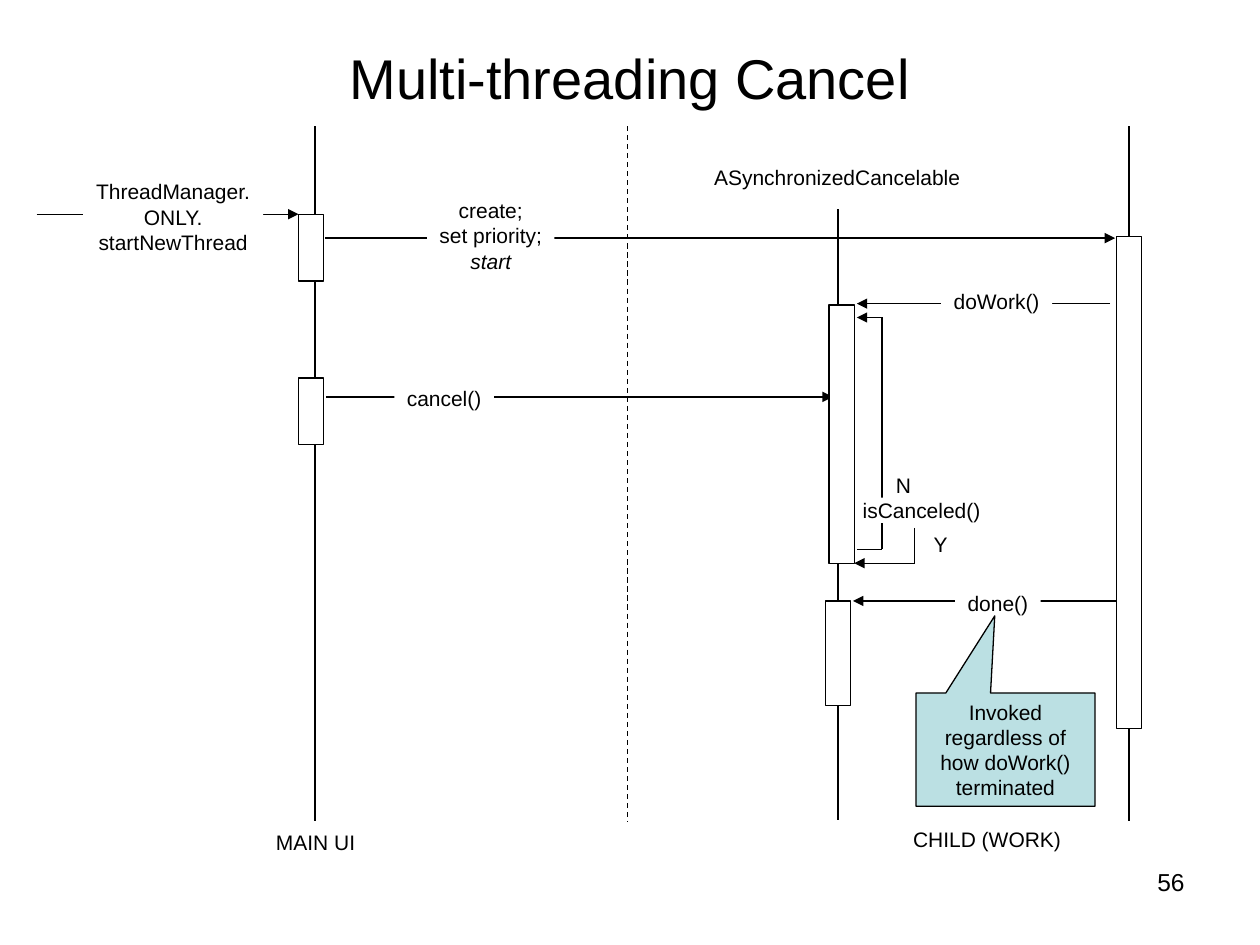
"""Build a sequence diagram slide about cancelling a worker thread."""
from lxml.etree import SubElement
from pptx import Presentation
from pptx.dml.color import RGBColor
from pptx.enum.dml import MSO_LINE
from pptx.enum.shapes import MSO_CONNECTOR, MSO_SHAPE
from pptx.enum.text import MSO_ANCHOR, PP_ALIGN
from pptx.oxml.ns import qn
from pptx.util import Inches, Pt

BLACK = RGBColor(0, 0, 0)
WHITE = RGBColor(255, 255, 255)
TEAL = RGBColor(0xBB, 0xE0, 0xE3)

COLUMNS, ROWS = 100, 75
SLIDE_W, SLIDE_H = Inches(10), Inches(7.5)
BAR_W, LINE_H = 2, 2

TITLE = "Multi-threading Cancel"
NOTE = "Invoked regardless of how doWork() terminated"
PAGE = "56"

MAIN, BORDER, TASK, CHILD = 25, 49.8, 66.5, 89.6
LIFELINES = [
    (MAIN, 10, 65.2, False),
    (TASK, 16.6, 65.1, False),
    (BORDER, 10, 65.2, True),
    (CHILD, 10, 65.2, False),
]
BARS = [
    (24.7, 17, 5.3),
    (24.7, 30, 5.3),
    (66.8, 24.2, 20.5),
    (66.5, 47.7, 8.3),
    (CHILD, 18.8, 39),
]
MESSAGES = [
    [(2.9, 17), (23.7, 17)],
    [(25.8, 18.9), (88.5, 18.9)],
    [(88.1, 24.1), (68, 24.1)],
    [(25.9, 31.5), (66.1, 31.5)],
    [(68, 43.6), (70, 43.6), (70, 25.2), (68, 25.2)],
    [(72.6, 41.9), (72.6, 44.7), (67.8, 44.7)],
    [(88.6, 47.7), (67.7, 47.7)],
]
LABELS = [
    (6.6, 14.2, 14.3, ["ThreadManager.", "ONLY.", "startNewThread"]),
    (33.9, 15.7, 10.1, ["create;", "set priority;", "start"]),
    (55.7, 13.1, 21.5, ["ASynchronizedCancelable"]),
    (74.7, 22.9, 8.8, ["doWork()"]),
    (31.3, 30.6, 7.9, ["cancel()"]),
    (70.1, 37.5, 3.2, ["N"]),
    (67.5, 39.5, 11.3, ["isCanceled()"]),
    (73.1, 42.2, 3.1, ["Y"]),
    (75.8, 46.9, 6.8, ["done()"]),
    (20.9, 65.8, 8.3, ["MAIN UI"]),
    (71.5, 65.6, 13.7, ["CHILD (WORK)"]),
]
ITALIC = {"start"}


def x(col):
    return round(SLIDE_W * col / COLUMNS)


def y(row):
    return round(SLIDE_H * row / ROWS)


def box(left, top, width, height):
    return x(left), y(top), x(width), y(height)


def write(sp, lines, size=12, align=PP_ALIGN.CENTER, anchor=MSO_ANCHOR.TOP,
          margin=0.05, wrap=True):
    tf = sp.text_frame
    tf.word_wrap = wrap
    tf.vertical_anchor = anchor
    tf.margin_left = tf.margin_right = Inches(0.1)
    tf.margin_top = tf.margin_bottom = Inches(margin)
    for i, text in enumerate(lines):
        p = tf.add_paragraph() if i else tf.paragraphs[0]
        p.alignment = align
        r = p.add_run()
        r.text = text
        r.font.name = "Arial"
        r.font.size = Pt(size)
        r.font.color.rgb = BLACK
        if text in ITALIC:
            r.font.italic = True


def add_box(s, place, fill=WHITE, outline=True, kind=MSO_SHAPE.RECTANGLE):
    sp = s.shapes.add_shape(kind, *box(*place))
    sp.shadow.inherit = False
    sp.fill.solid()
    sp.fill.fore_color.rgb = fill
    if outline:
        sp.line.color.rgb = BLACK
        sp.line.width = Pt(0.75)
    else:
        sp.line.fill.background()
    return sp


def add_line(s, start, end, dashed=False, arrow=False):
    c = s.shapes.add_connector(MSO_CONNECTOR.STRAIGHT, x(start[0]), y(start[1]),
                               x(end[0]), y(end[1]))
    c.line.color.rgb = BLACK
    c.line.width = Pt(0.75)
    if dashed:
        c.line.dash_style = MSO_LINE.DASH
    if arrow:
        SubElement(c.line._get_or_add_ln(), qn("a:tailEnd"), type="triangle")
    SubElement(c._element.spPr, qn("a:effectLst"))


def main():
    prs = Presentation()
    prs.slide_width, prs.slide_height = SLIDE_W, SLIDE_H
    s = prs.slides.add_slide(prs.slide_layouts[5])

    title = s.shapes.title
    title.left, title.top, title.width, title.height = box(5, 3, 90, 6.2)
    write(title, [TITLE], size=32, anchor=MSO_ANCHOR.MIDDLE)

    for col, top, bottom, dashed in LIFELINES:
        add_line(s, (col, top), (col, bottom), dashed=dashed)

    for points in MESSAGES:
        for start, end in zip(points, points[1:]):
            add_line(s, start, end, arrow=end == points[-1])

    for left, top, width, lines in LABELS:
        sp = add_box(s, (left, top, width, LINE_H * len(lines)), outline=False)
        write(sp, lines, margin=0, wrap=False)

    for center, top, height in BARS:
        add_box(s, (center - BAR_W / 2, top, BAR_W, height))

    note = add_box(s, (72.7, 55, 14.2, 9), fill=TEAL,
                   kind=MSO_SHAPE.RECTANGULAR_CALLOUT)
    note.adjustments[0], note.adjustments[1] = -0.06, -1.18
    write(note, [NOTE])

    page = s.shapes.add_textbox(*box(77.5, 68.3, 17.5, 5.2))
    write(page, [PAGE], size=14, align=PP_ALIGN.RIGHT)

    prs.save("out.pptx")


if __name__ == "__main__":
    main()
